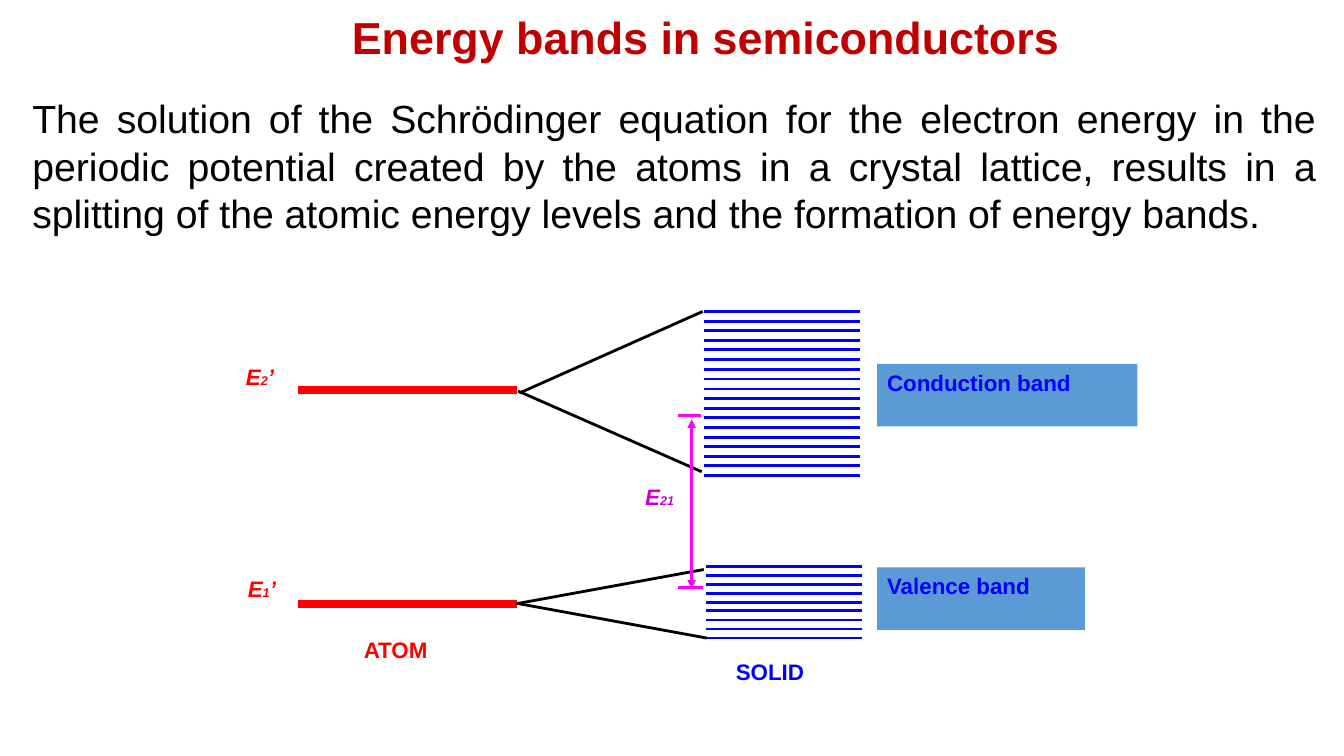
from dataclasses import dataclass

from lxml.etree import SubElement
from pptx import Presentation
from pptx.dml.color import RGBColor
from pptx.enum.shapes import MSO_CONNECTOR as Conn, MSO_SHAPE as Shape
from pptx.enum.text import MSO_ANCHOR as Anchor, MSO_AUTO_SIZE as Fit, PP_ALIGN as Align
from pptx.oxml.ns import qn
from pptx.slide import Slide
from pptx.text.text import TextFrame
from pptx.util import Emu, Pt

PX = 9144  # EMU per px, 100 px to the inch
FONT = "Arial"
CRIMSON = RGBColor(0xC0, 0x00, 0x00)
BLACK = RGBColor(0x00, 0x00, 0x00)
RED = RGBColor(0xFF, 0x00, 0x00)
BLUE = RGBColor(0x00, 0x00, 0xFF)
STEEL = RGBColor(0x5B, 0x9B, 0xD5)
PINK = RGBColor(0xFF, 0x00, 0xFF)
PLUM = RGBColor(0xCC, 0x00, 0xCC)

TITLE = "Energy bands in semiconductors"
BODY = (
    "The solution of the Schrödinger equation for the electron energy in the "
    "periodic potential created by the atoms in a crystal lattice, results in a "
    "splitting of the atomic energy levels and the formation of energy bands."
)


@dataclass(frozen=True)
class Line:
    x1: int
    y1: int
    x2: int
    y2: int
    color: RGBColor
    width: int = 2
    arrows: bool = False


@dataclass(frozen=True)
class Band:
    left: int
    right: int
    top: int
    bottom: int
    count: int

    def lines(self) -> list[Line]:
        gap = (self.bottom - self.top) / (self.count - 1)
        rows = [round(self.top + i * gap) for i in range(self.count)]
        return [Line(self.left, y, self.right, y, BLUE) for y in rows]


@dataclass(frozen=True)
class Label:
    """Runs alternate between full size and index size."""
    left: int
    top: int
    width: int
    runs: tuple[str, ...]
    color: RGBColor
    italic: bool = False
    fill: RGBColor | None = None


LEVELS = [Line(296, y, 513, y, RED, 6) for y in (387, 599)]
BANDS = [Band(698, 853, 309, 472, 18), Band(700, 855, 562, 633, 9)]
SPLITS = [
    Line(515, 390, 697, 309, BLACK),
    Line(514, 388, 696, 468, BLACK),
    Line(512, 599, 698, 565, BLACK),
    Line(515, 599, 701, 633, BLACK),
]
GAP = [
    Line(672, 412, 695, 412, PINK),
    Line(672, 583, 697, 583, PINK),
    Line(686, 416, 686, 584, PINK, arrows=True),
]
LABELS = [
    Label(351, 626, 114, ("ATOM",), RED),
    Label(720, 648, 112, ("SOLID",), BLUE),
    Label(234, 355, 60, ("E", "2", "’"), RED, italic=True),
    Label(236, 566, 60, ("E", "1", "’"), RED, italic=True),
    Label(870, 361, 258, ("Conduction band",), BLUE, fill=STEEL),
    Label(870, 563, 206, ("Valence band",), BLUE, fill=STEEL),
    Label(630, 474, 70, ("E", "21"), PLUM, italic=True),
]


def px(*nums: int) -> list[Emu]:
    return [Emu(n * PX) for n in nums]


def place(shape, left: int, top: int, width: int, height: int) -> None:
    shape.left, shape.top, shape.width, shape.height = px(left, top, width, height)


def write(frame: TextFrame, *runs: str, size: int, color: RGBColor, small: int = 9,
          bold: bool = False, italic: bool = False, align: Align = Align.LEFT,
          wrap: bool = True) -> None:
    frame.word_wrap = wrap
    frame.auto_size = Fit.NONE
    frame.vertical_anchor = Anchor.TOP
    para = frame.paragraphs[0]
    para.alignment = align
    para.space_before = Pt(0)
    for i, text in enumerate(runs):
        run = para.add_run()
        run.text = text
        font = run.font
        font.name, font.bold, font.italic = FONT, bold, italic
        font.size = Pt(small if i % 2 else size)
        font.color.rgb = color


def draw_line(slide: Slide, line: Line) -> None:
    ends = px(line.x1, line.y1, line.x2, line.y2)
    conn = slide.shapes.add_connector(Conn.STRAIGHT, *ends)
    conn.line.color.rgb = line.color
    conn.line.width = Pt(line.width)
    props = conn.element.spPr
    if line.arrows:
        for tag in ("a:headEnd", "a:tailEnd"):
            SubElement(props.find(qn("a:ln")), qn(tag), type="triangle")
    SubElement(props, qn("a:effectLst"))


def draw_label(slide: Slide, label: Label) -> None:
    area = px(label.left, label.top, label.width, 62)
    if label.fill is None:
        box = slide.shapes.add_textbox(*area)
    else:
        box = slide.shapes.add_shape(Shape.RECTANGLE, *area)
        box.shadow.inherit = False
        box.fill.solid()
        box.fill.fore_color.rgb = label.fill
        box.line.fill.background()
    write(box.text_frame, *label.runs, size=16, color=label.color,
          bold=True, italic=label.italic)


def fill_text(slide: Slide) -> None:
    title, body = slide.shapes.title, slide.placeholders[1]
    place(title, 339, 5, 727, 64)
    write(title.text_frame, TITLE, size=32, color=CRIMSON, bold=True, wrap=False)
    place(body, 22, 89, 1293, 151)
    props = body.text_frame.paragraphs[0]._p.get_or_add_pPr()
    props.set("marL", "0")
    props.set("indent", "0")
    SubElement(props, qn("a:buNone"))
    write(body.text_frame, BODY, size=28, color=BLACK, align=Align.JUSTIFY)


def main() -> None:
    deck = Presentation()
    deck.slide_width, deck.slide_height = px(1333, 750)
    slide = deck.slides.add_slide(deck.slide_layouts[1])
    fill_text(slide)
    rungs = [line for band in BANDS for line in band.lines()]
    for line in LEVELS + rungs + SPLITS:
        draw_line(slide, line)
    for label in LABELS:
        draw_label(slide, label)
    for line in GAP:
        draw_line(slide, line)
    deck.save("out.pptx")


if __name__ == "__main__":
    main()
